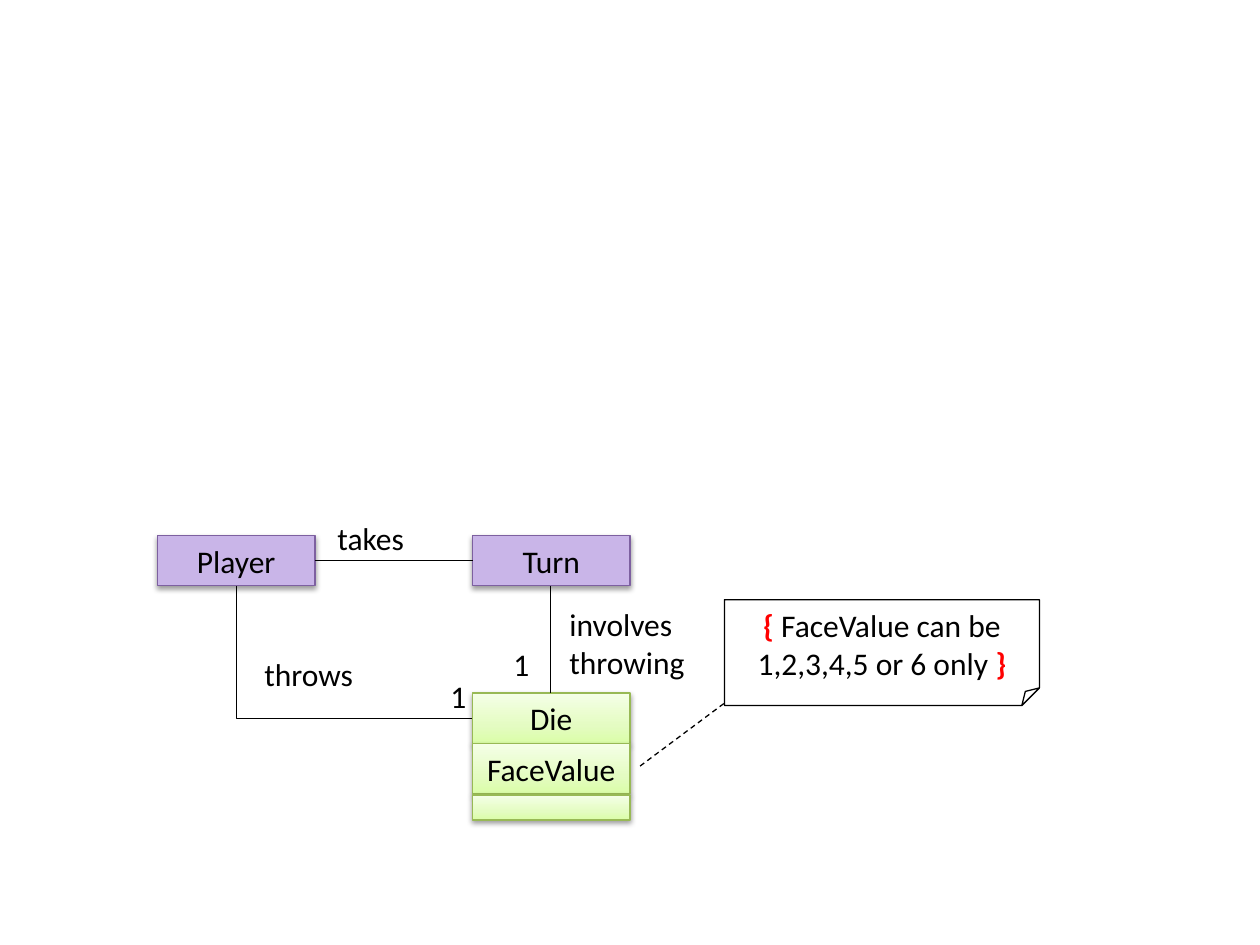
"""Build the dice game domain model slide with its constraint note."""
from copy import deepcopy
from dataclasses import dataclass

from lxml import etree
from pptx import Presentation
from pptx.dml.color import RGBColor
from pptx.enum.dml import MSO_LINE
from pptx.enum.shapes import MSO_CONNECTOR, MSO_SHAPE
from pptx.enum.text import MSO_ANCHOR, MSO_AUTO_SIZE, PP_ALIGN
from pptx.oxml.ns import qn
from pptx.shapes.autoshape import Shape
from pptx.shapes.connector import Connector
from pptx.slide import Slide
from pptx.util import Emu, Pt

RECTANGLE, NOTE = MSO_SHAPE.RECTANGLE, MSO_SHAPE.FOLDED_CORNER
STRAIGHT, ELBOW = MSO_CONNECTOR.STRAIGHT, MSO_CONNECTOR.ELBOW
DASH = MSO_LINE.DASH
MIDDLE, CENTER = MSO_ANCHOR.MIDDLE, PP_ALIGN.CENTER
FIT_SHAPE = MSO_AUTO_SIZE.SHAPE_TO_FIT_TEXT

EMU_PER_PX = 9144
BLACK, RED = "000000", "FF0000"
PURPLE, PURPLE_EDGE = "C9B5E8", "7D60A0"
GREEN_EDGE = "98B955"
GREEN_STOPS = ((0, "DAFDA7"), (0.35, "E4FCC2"), (1, "F5FFE7"))
BOX_WIDTH, ROW_HEIGHT = 125, 40
PLAYER_LEFT, TURN_LEFT = 125, 375
CONCEPT_TOP, DIE_TOP = 425, 550


@dataclass(frozen=True)
class ClassBox:
    name: str
    left: int
    top: int
    height: int = ROW_HEIGHT
    green: bool = False


@dataclass(frozen=True)
class Label:
    text: str
    left: int
    top: int
    width: int
    height: int


@dataclass(frozen=True)
class Association:
    x1: int
    y1: int
    x2: int
    y2: int
    dashed: bool = False


BOXES = (
    ClassBox("Player", PLAYER_LEFT, CONCEPT_TOP),
    ClassBox("Turn", TURN_LEFT, CONCEPT_TOP),
    ClassBox("Die", TURN_LEFT, DIE_TOP, green=True),
    ClassBox("FaceValue", TURN_LEFT, DIE_TOP + ROW_HEIGHT, green=True),
    ClassBox("", TURN_LEFT, DIE_TOP + 2 * ROW_HEIGHT + 1, 20, green=True),
)
LABELS = (
    Label("takes", 258, 407, 100, 40),
    Label("throws", 200, 515, 117, 40),
    Label(" 1", 392, 507, 42, 42),
    Label(" 1", 342, 532, 42, 42),
    Label("involves throwing", 442, 475, 125, 71),
)
ASSOCIATIONS = (
    Association(250, 445, 375, 445),
    Association(437, 465, 437, 550),
    Association(508, 608, 575, 558, dashed=True),
)
THROWS = Association(188, 465, 375, 570)
CONSTRAINT = (("{ ", RED), ("FaceValue can be 1,2,3,4,5 or 6 only ", BLACK), ("}", RED))


def px(length: float) -> Emu:
    """Turn px into EMU."""
    return Emu(round(length * EMU_PER_PX))


def rgb(value: str) -> RGBColor:
    """Turn a hex string into a colour."""
    return RGBColor.from_string(value)


def format_run(run, colour: str = BLACK, bold: bool = False) -> None:
    """Apply the slide's type to one run."""
    run.font.name, run.font.size, run.font.bold = "Calibri", Pt(18), bold
    run.font.color.rgb = rgb(colour)


def outline(shape: Shape | Connector, colour: str = BLACK) -> None:
    """Give a shape or connector its thin line."""
    shape.line.color.rgb = rgb(colour)
    shape.line.width = Pt(0.75)


def fill_green(shape: Shape) -> None:
    """Fill a shape with the upward green gradient."""
    shape.fill.gradient()
    shape.fill.gradient_angle = 90
    stop_list = shape._element.spPr.find(qn("a:gradFill")).find(qn("a:gsLst"))
    stop_list.insert(1, deepcopy(stop_list[0]))
    for stop, (position, colour) in zip(shape.fill.gradient_stops, GREEN_STOPS):
        stop.position = position
        stop.color.rgb = rgb(colour)


def cast_shadow(shape: Shape) -> None:
    """Add a soft shadow straight below a shape."""
    shape.shadow.inherit = False
    effects = shape._element.spPr.find(qn("a:effectLst"))
    shadow = etree.SubElement(effects, qn("a:outerShdw"), blurRad=str(Pt(3.1)),
                              dist=str(Pt(1.6)), dir="5400000", rotWithShape="0")
    colour = etree.SubElement(shadow, qn("a:srgbClr"), val=BLACK)
    etree.SubElement(colour, qn("a:alpha"), val="38000")


def draw_box(slide: Slide, box: ClassBox) -> None:
    """Draw one compartment of a class."""
    shape = slide.shapes.add_shape(RECTANGLE, px(box.left), px(box.top),
                                   px(BOX_WIDTH), px(box.height))
    if box.green:
        fill_green(shape)
    else:
        shape.fill.solid()
        shape.fill.fore_color.rgb = rgb(PURPLE)
    outline(shape, GREEN_EDGE if box.green else PURPLE_EDGE)
    cast_shadow(shape)
    if box.name:
        frame = shape.text_frame
        frame.text = box.name
        frame.vertical_anchor, frame.auto_size = MIDDLE, FIT_SHAPE
        frame.paragraphs[0].alignment = CENTER
        format_run(frame.paragraphs[0].runs[0])


def draw_label(slide: Slide, label: Label) -> None:
    """Draw an association name or multiplicity."""
    frame = slide.shapes.add_textbox(px(label.left), px(label.top),
                                     px(label.width), px(label.height)).text_frame
    frame.word_wrap, frame.auto_size = True, FIT_SHAPE
    frame.text = label.text
    format_run(frame.paragraphs[0].runs[0])


def draw_association(slide: Slide, link: Association, kind=STRAIGHT) -> Connector:
    """Draw a line between two ends."""
    connector = slide.shapes.add_connector(kind, px(link.x1), px(link.y1),
                                           px(link.x2), px(link.y2))
    outline(connector)
    if link.dashed:
        connector.line.dash_style = DASH
    etree.SubElement(connector._element.spPr, qn("a:effectLst"))
    return connector


def draw_corner(slide: Slide, link: Association) -> None:
    """Draw a line that goes down and then right."""
    connector = draw_association(slide, link, ELBOW)
    across, down = link.x2 - link.x1, link.y2 - link.y1
    connector.left = px(link.x1 + (across - down) / 2)
    connector.top = px(link.y1 + (down - across) / 2)
    connector.width, connector.height = px(down), px(across)
    properties = connector._element.spPr
    transform = properties.find(qn("a:xfrm"))
    transform.set("rot", "16200000")
    transform.set("flipH", "1")
    properties.find(qn("a:prstGeom")).set("prst", "bentConnector2")


def draw_constraint(slide: Slide) -> None:
    """Draw the note that limits the face value."""
    note = slide.shapes.add_shape(NOTE, px(575), px(476), px(250), px(84))
    note.fill.background()
    note.shadow.inherit = False
    outline(note)
    note.text_frame.vertical_anchor = MIDDLE
    paragraph = note.text_frame.paragraphs[0]
    paragraph.alignment = CENTER
    for words, colour in CONSTRAINT:
        run = paragraph.add_run()
        run.text = words
        format_run(run, colour, bold=colour == RED)


def main() -> None:
    """Build and save the slide."""
    deck = Presentation()
    deck.slide_width, deck.slide_height = px(1000), px(750)
    slide = deck.slides.add_slide(deck.slide_layouts[6])
    for box in BOXES:
        draw_box(slide, box)
    for link in ASSOCIATIONS:
        draw_association(slide, link)
    draw_corner(slide, THROWS)
    for label in LABELS:
        draw_label(slide, label)
    draw_constraint(slide)
    deck.save("out.pptx")


if __name__ == "__main__":
    main()
